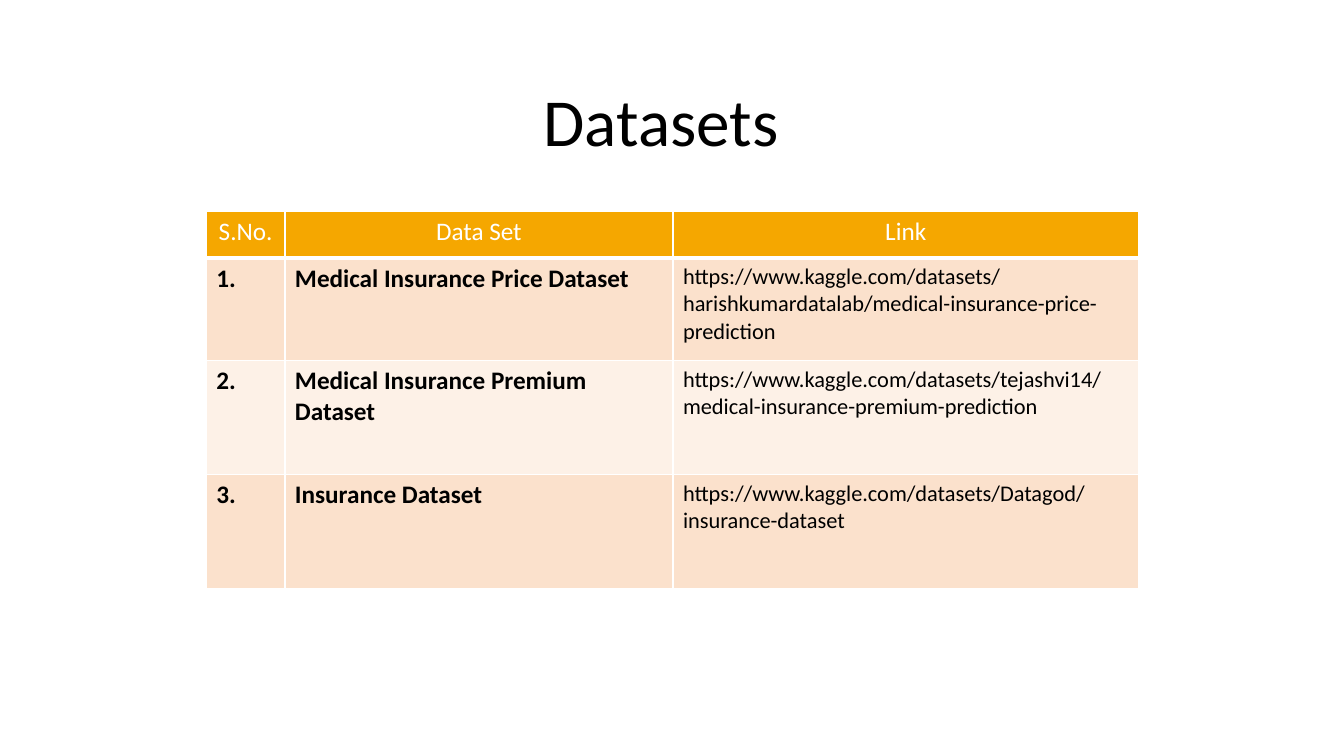
from lxml import etree
from pptx import Presentation
from pptx import util as u
from pptx.dml.color import RGBColor
from pptx.enum import text
from pptx.oxml import ns

COLORS = {
    "black": "000000",
    "white": "FFFFFF",
    "header": "F5A700",
    "band_dark": "FBE1CC",
    "band_light": "FDF1E7",
}

HEADINGS = ["S.No.", "Data Set", "Link"]
DATASETS = [
    ("Medical Insurance Price Dataset",
     "https://www.kaggle.com/datasets/harishkumardatalab/medical-insurance-price-prediction"),
    ("Medical Insurance Premium Dataset",
     "https://www.kaggle.com/datasets/tejashvi14/medical-insurance-premium-prediction"),
    ("Insurance Dataset",
     "https://www.kaggle.com/datasets/Datagod/insurance-dataset"),
]
COLUMN_WIDTHS = [1.98, 9.78, 11.73]
ROW_HEIGHTS = [1.17, 2.59, 2.87, 2.87]


def rgb(color):
    return RGBColor.from_string(COLORS[color])


def write(frame, content, size=18, color="black", bold=False,
          align=text.PP_ALIGN.LEFT, spacing=1.0, font="Calibri"):
    frame.word_wrap = True
    paragraph = frame.paragraphs[0]
    paragraph.alignment = align
    paragraph.line_spacing = spacing
    run = paragraph.add_run()
    run.text = content
    run.font.name = font
    run.font.size = u.Pt(size)
    run.font.bold = bold
    run.font.color.rgb = rgb(color)


class DatasetSlide:
    def __init__(self, presentation):
        self.slide = presentation.slides.add_slide(presentation.slide_layouts[5])

    def title(self, content, left, top, width, height):
        shape = self.slide.shapes.title
        shape.left, shape.top = u.Cm(left), u.Cm(top)
        shape.width, shape.height = u.Cm(width), u.Cm(height)
        shape.text_frame.vertical_anchor = text.MSO_ANCHOR.MIDDLE
        write(shape.text_frame, content, size=48,
              align=text.PP_ALIGN.CENTER, spacing=0.9)

    def borders(self, cell, **widths):
        properties = cell._tc.get_or_add_tcPr()
        for side, width in widths.items():
            line = etree.SubElement(properties, ns.qn(f"a:ln{side}"), w=str(u.Pt(width)))
            fill = etree.SubElement(line, ns.qn("a:solidFill"))
            etree.SubElement(fill, ns.qn("a:srgbClr"), val=COLORS["white"])

    def cell(self, cell, content, fill, top=1, bottom=1, **style):
        self.borders(cell, L=1, R=1, T=top, B=bottom)
        cell.fill.solid()
        cell.fill.fore_color.rgb = rgb(fill)
        write(cell.text_frame, content, **style)

    def table(self, left, top):
        frame = self.slide.shapes.add_table(
            len(ROW_HEIGHTS), len(COLUMN_WIDTHS), u.Cm(left), u.Cm(top),
            u.Cm(sum(COLUMN_WIDTHS)), u.Cm(sum(ROW_HEIGHTS)))
        table = frame.table
        for column, width in zip(table.columns, COLUMN_WIDTHS):
            column.width = u.Cm(width)
        for row, height in zip(table.rows, ROW_HEIGHTS):
            row.height = u.Cm(height)
        for column, heading in enumerate(HEADINGS):
            self.cell(table.cell(0, column), heading, "header", bottom=3,
                      color="white", align=text.PP_ALIGN.CENTER)
        for number, (name, link) in enumerate(DATASETS, 1):
            fill = "band_dark" if number % 2 else "band_light"
            top_border = 3 if number == 1 else 1
            number_cell, name_cell, link_cell = table.rows[number].cells
            self.cell(number_cell, f"{number}.", fill, top=top_border, bold=True)
            self.cell(name_cell, name, fill, top=top_border, bold=True)
            self.cell(link_cell, link, fill, top=top_border, size=16)


def main():
    presentation = Presentation()
    presentation.slide_width = u.Cm(33.87)
    presentation.slide_height = u.Cm(19.05)
    slide = DatasetSlide(presentation)
    slide.title("Datasets", 2.54, 1.5, 28.24, 3.28)
    slide.table(5.2, 5.33)
    presentation.save("out.pptx")


if __name__ == "__main__":
    main()
